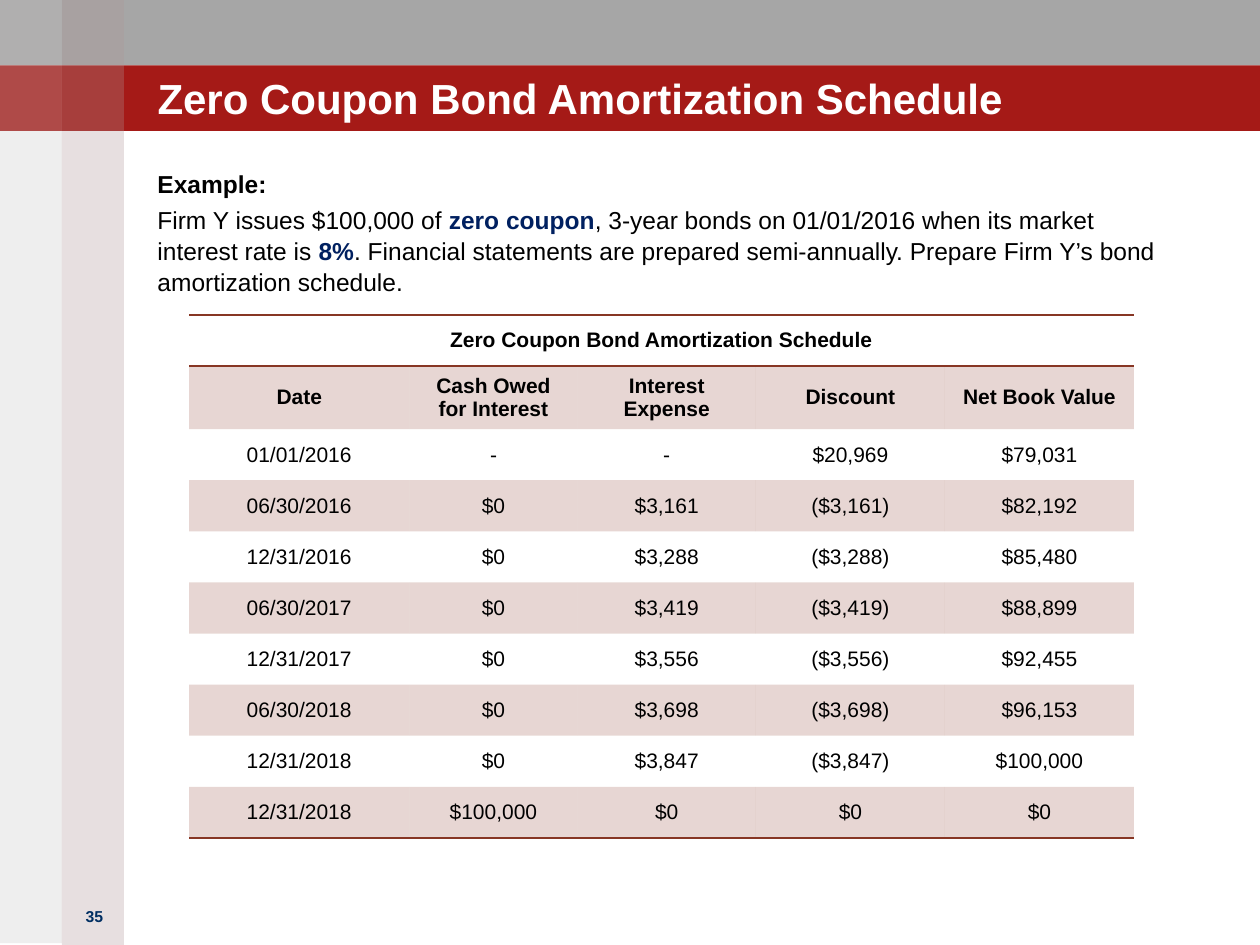
from pptx import Presentation
from pptx.dml.color import RGBColor
from pptx.enum.shapes import MSO_SHAPE as Shape
from pptx.enum.text import MSO_ANCHOR as Anchor, PP_ALIGN as Align
from pptx.oxml import parse_xml
from pptx.oxml.ns import nsdecls, qn
from pptx.oxml.xmlchemy import OxmlElement
from pptx.util import Pt

FONT = "Arial"
BLACK = RGBColor(0, 0, 0)
WHITE = RGBColor(0xFF, 0xFF, 0xFF)
GRAY = RGBColor(0xA6, 0xA6, 0xA6)
RED = RGBColor(0xA5, 0x1A, 0x17)
ROSE = RGBColor(0xA0, 0x82, 0x84)
STONE = RGBColor(0x93, 0x8F, 0x8F)
NAVY = RGBColor(0x00, 0x20, 0x60)
PAGE_BLUE = RGBColor(0x00, 0x2E, 0x62)
RUST = RGBColor(0x87, 0x36, 0x24)

SLIDE_WIDTH, SLIDE_HEIGHT = 720, 540
BAND_HEIGHT = 37.4
STRIP_WIDTH = 35.4

TITLE = "Zero Coupon Bond Amortization Schedule"
# Each run is its text and whether it is highlighted.
TASK = [
    ("Firm Y issues $100,000 of ", False),
    ("zero coupon", True),
    (", 3-year bonds on 01/01/2016 when its market interest rate is ", False),
    ("8%", True),
    (". Financial statements are prepared semi-annually. "
     "Prepare Firm Y’s bond amortization schedule.", False),
]
COLUMN_WIDTHS = [126, 96, 102, 108, 108]
ROW_HEIGHT, HEADER_HEIGHT = 29.2, 34.3
SCHEDULE = [
    [TITLE, "", "", "", ""],
    ["Date", "Cash Owed for Interest", "Interest Expense", "Discount", "Net Book Value"],
    ["01/01/2016", "-", "-", "$20,969", "$79,031"],
    ["06/30/2016", "$0", "$3,161", "($3,161)", "$82,192"],
    ["12/31/2016", "$0", "$3,288", "($3,288)", "$85,480"],
    ["06/30/2017", "$0", "$3,419", "($3,419)", "$88,899"],
    ["12/31/2017", "$0", "$3,556", "($3,556)", "$92,455"],
    ["06/30/2018", "$0", "$3,698", "($3,698)", "$96,153"],
    ["12/31/2018", "$0", "$3,847", "($3,847)", "$100,000"],
    ["12/31/2018", "$100,000", "$0", "$0", "$0"],
]
NO_GRID_STYLE = "{2D5ABB26-0587-4C30-8999-92F81FD0307C}"


def set_opacity(fill_parent, percent):
    color = fill_parent.find(qn("a:solidFill"))[0]
    alpha = OxmlElement("a:alpha")
    alpha.set("val", str(percent * 1000))
    color.append(alpha)


def set_font(paragraph, size, color, bold=False):
    font = paragraph.font
    font.name, font.size, font.bold = FONT, Pt(size), bold
    font.color.rgb = color


def add_block(slide, left, top, width, height, color, opacity=100):
    block = slide.shapes.add_shape(
        Shape.RECTANGLE, Pt(left), Pt(top), Pt(width), Pt(height))
    block.shadow.inherit = False
    block.line.fill.background()
    block.fill.solid()
    block.fill.fore_color.rgb = color
    if opacity < 100:
        set_opacity(block._element.spPr, opacity)


def add_frame(slide, left, top, width, height, inset=True):
    """Add a wrapping text box and return its text frame."""
    frame = slide.shapes.add_textbox(
        Pt(left), Pt(top), Pt(width), Pt(height)).text_frame
    frame.word_wrap = True
    if not inset:
        frame.margin_left = frame.margin_right = 0
        frame.margin_top = frame.margin_bottom = 0
    return frame


def add_background(slide):
    add_block(slide, 0, 0, SLIDE_WIDTH, BAND_HEIGHT, GRAY)
    add_block(slide, 0, BAND_HEIGHT, SLIDE_WIDTH, BAND_HEIGHT, RED)
    add_block(slide, STRIP_WIDTH, 0, STRIP_WIDTH, SLIDE_HEIGHT, ROSE, 25)
    add_block(slide, 0, 0, STRIP_WIDTH, SLIDE_HEIGHT - 1, STONE, 15)
    for top in (0, BAND_HEIGHT):
        add_block(slide, STRIP_WIDTH, top, STRIP_WIDTH, BAND_HEIGHT, WHITE, 5)
        add_block(slide, 0, top, STRIP_WIDTH, BAND_HEIGHT, WHITE, 15)


def add_page_number(slide):
    paragraph = add_frame(slide, 36, 514.8, 36, 25.2).paragraphs[0]
    paragraph.text = "35"
    paragraph.alignment = Align.CENTER
    set_font(paragraph, 9, PAGE_BLUE, bold=True)


def add_title(slide):
    frame = add_frame(slide, 90, 22.3, 564, 48.2, inset=False)
    frame.vertical_anchor = Anchor.BOTTOM
    frame.text = TITLE
    set_font(frame.paragraphs[0], 24, WHITE, bold=True)


def add_task(slide):
    frame = add_frame(slide, 90, 95.8, 576, 72, inset=False)
    heading, task = frame.paragraphs[0], frame.add_paragraph()
    heading.text = "Example:"
    set_font(heading, 14, BLACK, bold=True)
    set_font(task, 14, BLACK)
    for text, highlighted in TASK:
        run = task.add_run()
        run.text = text
        if highlighted:
            run.font.bold = True
            run.font.color.rgb = NAVY
    for paragraph in (heading, task):
        paragraph.space_before = Pt(2.8)
        paragraph.line_spacing = 1.05


def add_rules(cell, *tags):
    """Draw the cell's edges named by tags, in schema order."""
    properties = cell._tc.get_or_add_tcPr()
    for index, tag in enumerate(tags):
        properties.insert(index, parse_xml(
            f'<a:{tag} {nsdecls("a")} w="12700"><a:solidFill>'
            f'<a:srgbClr val="{RUST}"/></a:solidFill></a:{tag}>'))


def fill_cell(cell, text, bold, shaded):
    cell.text = text
    cell.vertical_anchor = Anchor.MIDDLE
    paragraph = cell.text_frame.paragraphs[0]
    paragraph.alignment = Align.CENTER
    set_font(paragraph, 12, BLACK, bold)
    if shaded:
        cell.fill.solid()
        cell.fill.fore_color.rgb = RUST
        set_opacity(cell._tc.tcPr, 20)
    else:
        cell.fill.background()


def add_schedule(slide):
    height = ROW_HEIGHT * (len(SCHEDULE) - 1) + HEADER_HEIGHT
    table = slide.shapes.add_table(
        len(SCHEDULE), len(COLUMN_WIDTHS), Pt(108), Pt(180),
        Pt(sum(COLUMN_WIDTHS)), Pt(height)).table
    table._tbl.tblPr.find(qn("a:tableStyleId")).text = NO_GRID_STYLE
    table.first_row = table.horz_banding = False
    for column, width in zip(table.columns, COLUMN_WIDTHS):
        column.width = Pt(width)
    for row_index, values in enumerate(SCHEDULE):
        table.rows[row_index].height = Pt(HEADER_HEIGHT if row_index == 1 else ROW_HEIGHT)
        for column_index, text in enumerate(values):
            cell = table.cell(row_index, column_index)
            fill_cell(cell, text, bold=row_index < 2, shaded=row_index % 2 == 1)
            if row_index == 0:
                add_rules(cell, "lnT", "lnB")
            elif row_index == len(SCHEDULE) - 1:
                add_rules(cell, "lnB")
    table.cell(0, 0).merge(table.cell(0, len(COLUMN_WIDTHS) - 1))


def main():
    presentation = Presentation()
    presentation.slide_width = Pt(SLIDE_WIDTH)
    presentation.slide_height = Pt(SLIDE_HEIGHT)
    slide = presentation.slides.add_slide(presentation.slide_layouts[6])
    add_background(slide)
    add_page_number(slide)
    add_title(slide)
    add_task(slide)
    add_schedule(slide)
    presentation.save("out.pptx")


if __name__ == "__main__":
    main()
